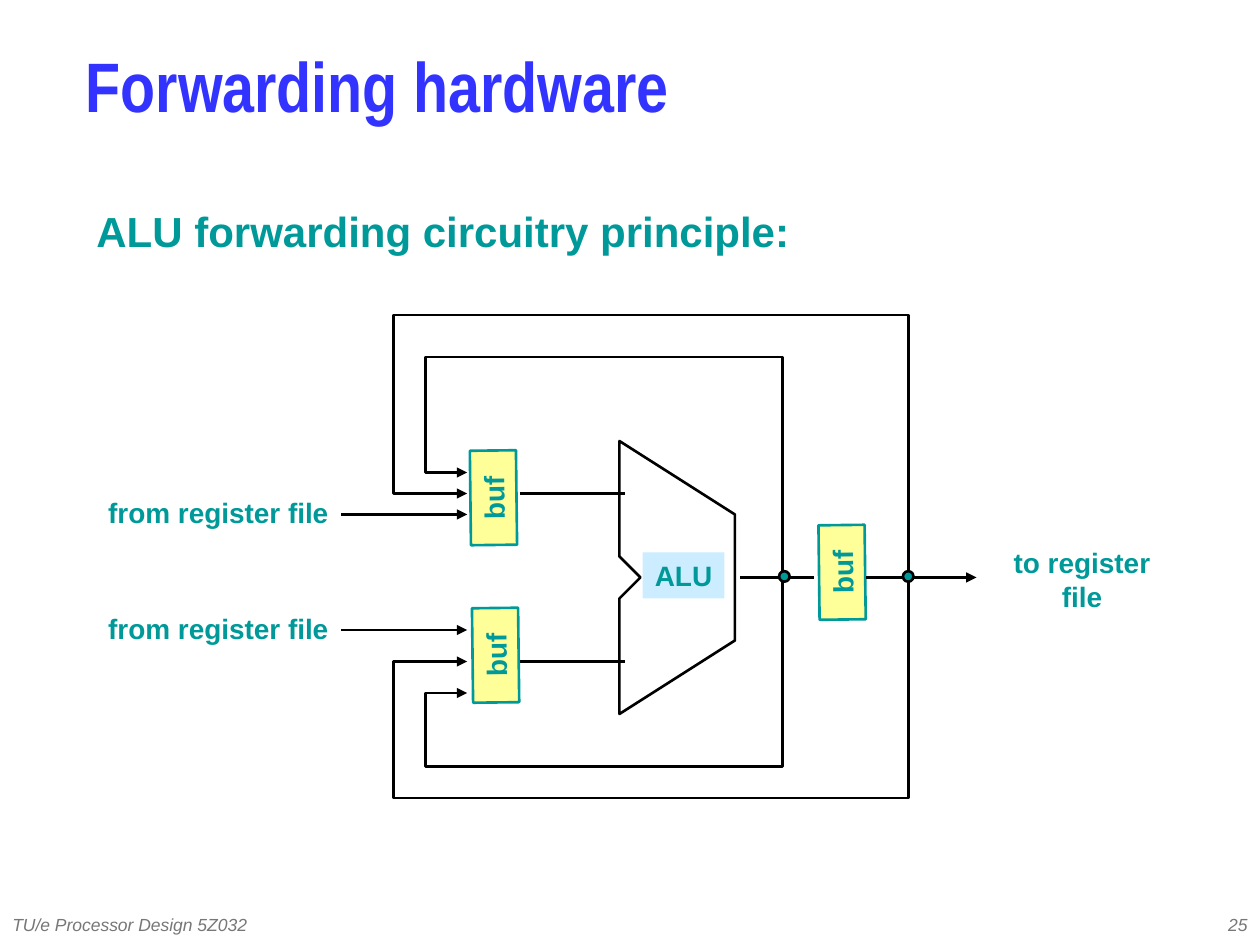
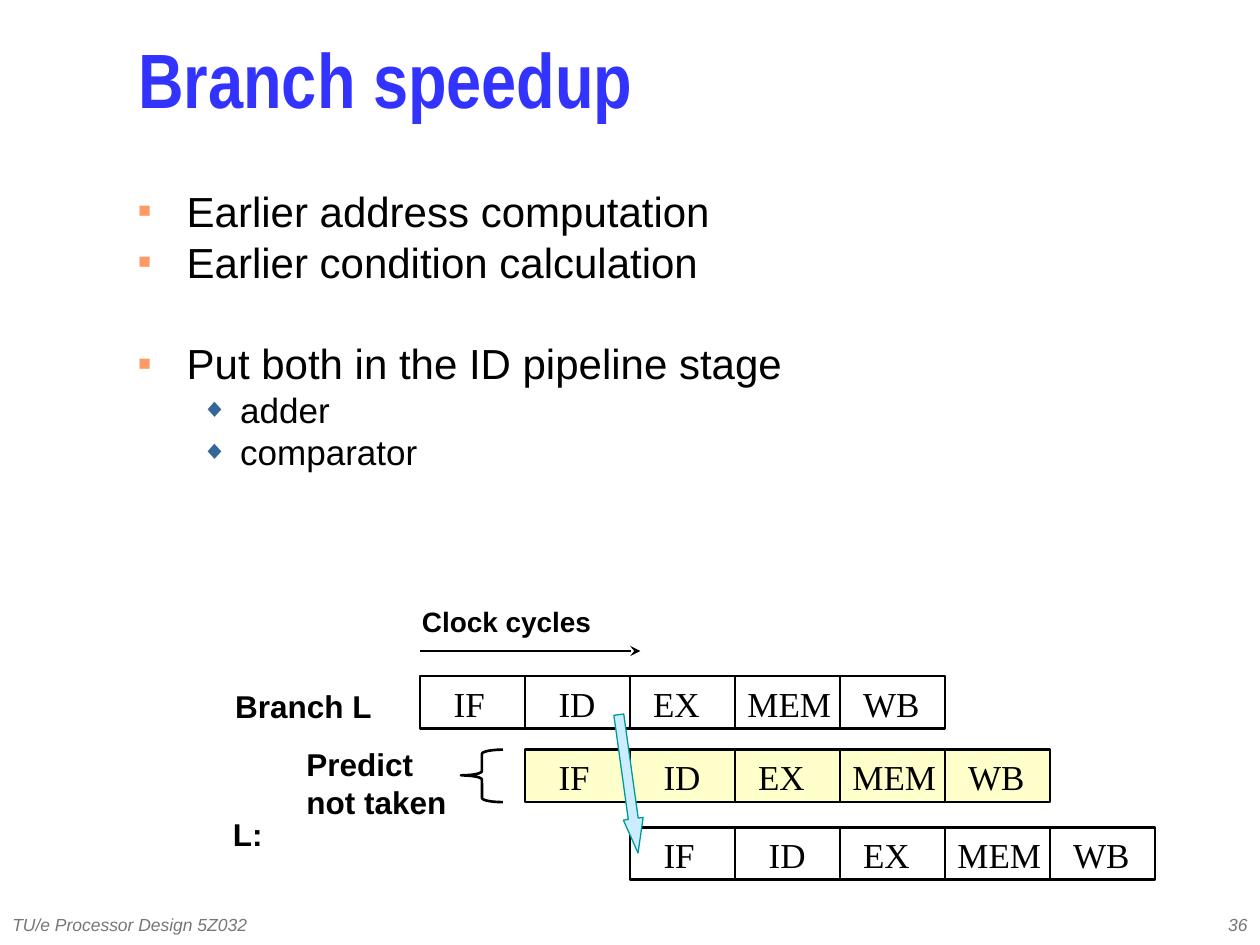
from lxml import etree
from pptx import Presentation
from pptx import util as u
from pptx.dml.color import RGBColor
from pptx.enum import shapes, text
from pptx.oxml.ns import qn

PX = 7620
BLACK = RGBColor(0x00, 0x00, 0x00)
INK = RGBColor(0x01, 0x00, 0x00)
BLUE = RGBColor(0x33, 0x33, 0xFF)
TEAL = RGBColor(0x00, 0x99, 0x99)
GREY = RGBColor(0x77, 0x77, 0x77)
YELLOW = RGBColor(0xFF, 0xFF, 0x99)
CREAM = RGBColor(0xFF, 0xFF, 0xCC)
SKY = RGBColor(0xCC, 0xEC, 0xFF)
ORANGE = RGBColor(0xFF, 0x99, 0x66)
STEEL = RGBColor(0x33, 0x66, 0x99)
LEFT, CENTER, RIGHT = text.PP_ALIGN.LEFT, text.PP_ALIGN.CENTER, text.PP_ALIGN.RIGHT
MIDDLE, TOP = text.MSO_ANCHOR.MIDDLE, text.MSO_ANCHOR.TOP
AUTO = shapes.MSO_SHAPE
STRAIGHT = shapes.MSO_CONNECTOR.STRAIGHT


def write(sp, words, size, color, align=LEFT, font="Arial", bold=True,
          italic=False, wrap=True, anchor=MIDDLE):
    tf = sp.text_frame
    tf.word_wrap = wrap
    tf.vertical_anchor = anchor
    p = tf.paragraphs[0]
    p.alignment = align
    r = p.add_run()
    r.text = words
    r.font.name = font
    r.font.size = u.Pt(size)
    r.font.bold = bold
    r.font.italic = italic
    r.font.color.rgb = color
    return p


def style(sp, line=BLACK, fill=None, width=1.5, **ends):
    if line is None:
        sp.line.fill.background()
    else:
        sp.line.color.rgb = line
        sp.line.width = u.Pt(width)
    if fill is not None:
        sp.fill.solid()
        sp.fill.fore_color.rgb = fill
    elif hasattr(sp, "fill"):
        sp.fill.background()
    for end in ("headEnd", "tailEnd"):
        if end in ends:
            etree.SubElement(sp.line._get_or_add_ln(), qn("a:" + end), type=ends[end])
    etree.SubElement(sp._element.spPr, qn("a:effectLst"))
    return sp


prs = Presentation()
prs.slide_width, prs.slide_height = 1200 * PX, 900 * PX

slides = []
for title, size, box, number in [
    ("Forwarding hardware", 40, (70, 30, 1080, 120), "25"),
    ("Branch speedup", 44, (120, 20, 1030, 130), "36"),
]:
    s = prs.slides.add_slide(prs.slide_layouts[6])
    slides.append(s)
    sp = s.shapes.add_textbox(*[v * PX for v in box])
    p = write(sp, title, size, BLUE, font="Arial Narrow")
    p.line_spacing = 0.7
    for x, words, align in [(950, number, RIGHT), (0, "TU/e Processor Design 5Z032", LEFT)]:
        sp = s.shapes.add_textbox(x * PX, 860 * PX, 250 * PX, 40 * PX)
        write(sp, words, 10, GREY, align, bold=False, italic=True)

s = slides[0]
sp = s.shapes.add_textbox(80 * PX, 190 * PX, 700 * PX, 60 * PX)
write(sp, "ALU forwarding circuitry principle:", 24, TEAL)

for x, y in [(425, 452), (427, 602), (757, 523)]:
    sp = s.shapes.add_shape(AUTO.RECTANGLE, x * PX, y * PX, 90 * PX, 44 * PX)
    style(sp, TEAL, YELLOW)
    sp.rotation = 269.3
    write(sp, "buf", 16, TEAL, CENTER)

alu = [(590, 420), (590, 530), (610, 550), (590, 570), (590, 680), (700, 610), (700, 490)]
fb = s.shapes.build_freeform(*alu[0], scale=float(PX))
fb.add_line_segments(alu[1:], close=True)
style(fb.convert_to_shape())
sp = s.shapes.add_shape(AUTO.RECTANGLE, 612 * PX, 526 * PX, 78 * PX, 44 * PX)
style(sp, None, SKY)
write(sp, "ALU", 16, TEAL, CENTER, wrap=False)

for left, right, top, bottom, upper, lower in [
    (375, 865, 300, 760, 470, 630),
    (405, 745, 340, 730, 450, 660),
]:
    fb = s.shapes.build_freeform(445, lower, scale=float(PX))
    fb.add_line_segments([(left, lower), (left, bottom), (right, bottom), (right, top),
                          (left, top), (left, upper), (445, upper)], close=False)
    style(fb.convert_to_shape(), headEnd="triangle", tailEnd="triangle")

for x1, x2, y, ends in [
    (325, 445, 490, {"tailEnd": "triangle"}),
    (325, 445, 600, {"tailEnd": "triangle"}),
    (495, 595, 470, {}),
    (495, 595, 630, {}),
    (705, 775, 550, {}),
    (825, 930, 550, {"tailEnd": "triangle"}),
]:
    style(s.shapes.add_connector(STRAIGHT, x1 * PX, y * PX, x2 * PX, y * PX), **ends)

for x in (742, 860):
    style(s.shapes.add_shape(AUTO.OVAL, x * PX, 544 * PX, 10 * PX, 10 * PX), fill=TEAL)

for words, x, y, w in [
    ("from register file", 91, 466, 234),
    ("from register file", 91, 576, 234),
    ("to register file", 931, 530, 199),
]:
    sp = s.shapes.add_textbox(x * PX, y * PX, w * PX, 44 * PX)
    write(sp, words, 16, TEAL, CENTER, wrap=False)

s = slides[1]
sp = s.shapes.add_textbox(120 * PX, 180 * PX, 1030 * PX, 378 * PX)
tf = sp.text_frame
tf.word_wrap = True
levels = [(24, 46, 46, "■", ORANGE, 50), (20, 97, 37, "◆", STEEL, 75)]
for i, (words, level, before) in enumerate([
    ("Earlier address computation", 0, 0),
    ("Earlier condition calculation", 0, 6),
    ("Put both in the ID pipeline stage", 0, 35),
    ("adder", 1, 5),
    ("comparator", 1, 5),
]):
    size, margin, hang, mark, color, percent = levels[level]
    p = tf.add_paragraph() if i else tf.paragraphs[0]
    p.level = level
    p.line_spacing = 0.8
    p.space_before = u.Pt(before)
    pPr = p._p.get_or_add_pPr()
    pPr.set("marL", str(margin * PX))
    pPr.set("indent", str(-hang * PX))
    clr = etree.SubElement(pPr, qn("a:buClr"))
    etree.SubElement(clr, qn("a:srgbClr"), val=str(color))
    etree.SubElement(pPr, qn("a:buSzPct"), val=str(percent * 1000))
    etree.SubElement(pPr, qn("a:buFont"), typeface="Arial")
    etree.SubElement(pPr, qn("a:buChar"), char=mark)
    r = p.add_run()
    r.text = words
    r.font.name = "Arial"
    r.font.size = u.Pt(size)
    r.font.color.rgb = INK

stages = [("IF", 32), ("ID", 32), ("EX", 22), ("MEM", 12), ("WB", 22)]
for row, (y, fill) in enumerate([(644, None), (714, CREAM), (788, None)]):
    for col, (stage, inset) in enumerate(stages):
        x = 400 + 100 * (row + col)
        sp = s.shapes.add_shape(AUTO.RECTANGLE, x * PX, y * PX, 100 * PX, 50 * PX)
        style(sp, fill=fill)
        write(sp, stage, 20, INK, font="Times New Roman", bold=False, anchor=TOP)
        sp.text_frame.margin_left = inset * PX
        sp.text_frame.margin_right = 0

for words, size, x, y, w, h, align, wrap in [
    ("Clock cycles", 16, 390, 570, 185, 44, CENTER, False),
    ("Branch L", 18, 212, 648, 154, 48, CENTER, False),
    ("Predict not taken", 18, 280, 704, 160, 84, LEFT, True),
    ("L:", 18, 210, 770, 52, 48, CENTER, False),
]:
    sp = s.shapes.add_textbox(x * PX, y * PX, w * PX, h * PX)
    write(sp, words, size, INK, align, wrap=wrap)

style(s.shapes.add_connector(STRAIGHT, 400 * PX, 620 * PX, 610 * PX, 620 * PX), tailEnd="stealth")

brace = s.shapes.add_shape(AUTO.LEFT_BRACE, 439 * PX, 714 * PX, 40 * PX, 50 * PX)
brace.adjustments[0] = 0.1
brace.adjustments[1] = 0.49
style(brace)

arrow = s.shapes.add_shape(AUTO.DOWN_ARROW, 589 * PX, 680 * PX, 19 * PX, 133 * PX)
arrow.adjustments[0] = 0.5
arrow.adjustments[1] = 1.73
arrow.rotation = 352.1
style(arrow, TEAL, SKY, 0.75)

prs.save("out.pptx")
